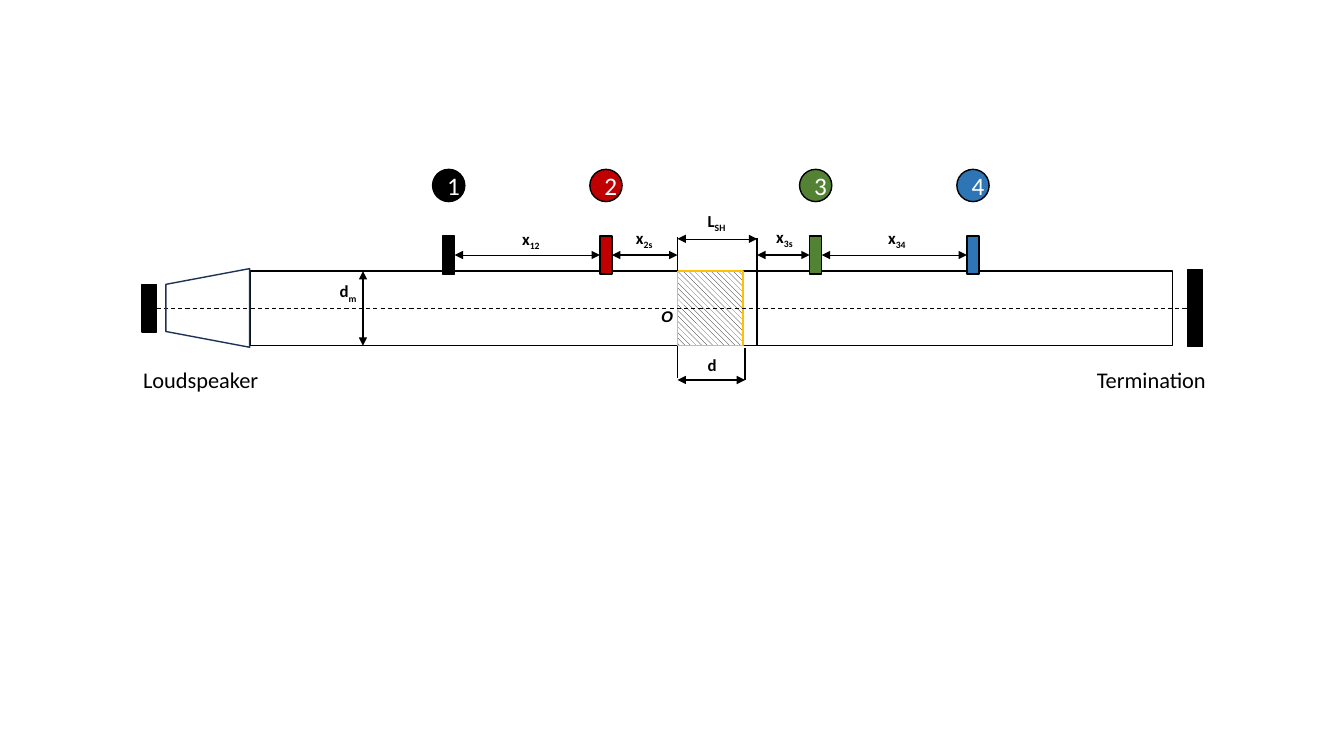
from lxml.etree import SubElement
from pptx import Presentation
from pptx.dml.color import RGBColor
from pptx.enum.dml import MSO_LINE, MSO_PATTERN
from pptx.enum.shapes import MSO_CONNECTOR, MSO_SHAPE
from pptx.enum.text import MSO_AUTO_SIZE, PP_ALIGN
from pptx.oxml.ns import qn
from pptx.util import Inches, Pt

COLOURS = {
    "black": "000000",
    "white": "FFFFFF",
    "red": "C00000",
    "green": "548235",
    "blue": "2E75B6",
    "gold": "FFC000",
    "navy": "1E3256",
}

# Grid positions: columns and rows are a tenth of an inch.
TUBE_LEFT, TUBE_RIGHT = 24.8, 116.3
TUBE_TOP, TUBE_BOTTOM = 26.9, 34.3
AXIS = 30.6
SAMPLE_LEFT, SAMPLE_RIGHT = 67.2, 73.7
DEPTH_RIGHT = 73.9
HOLDER_RIGHT = 75.1
MIC_WIDTH, MIC_TOP, MIC_HEIGHT = 1.2, 23.4, 3.8
MIC_SPACING = 15.6
BADGE_TOP, BADGE_SIZE = 16.8, 3.2
SPACING_ROW = 25.3
HOLDER_ROW, DEPTH_ROW = 23.7, 37.7


def grid(cells):
    return Inches(cells / 10)


def colour(name):
    return RGBColor.from_string(COLOURS[name])


def add_outline(slide, kind, left, top, width, height, fill=None, line="black"):
    outline = slide.shapes.add_shape(kind, *map(grid, (left, top, width, height)))
    outline.shadow.inherit = False
    if fill:
        outline.fill.solid()
        outline.fill.fore_color.rgb = colour(fill)
    else:
        outline.fill.background()
    outline.line.color.rgb = colour(line)
    outline.line.width = Pt(1)
    return outline


def add_rule(slide, start, end, weight=1, dashed=False, arrows=False):
    rule = slide.shapes.add_connector(MSO_CONNECTOR.STRAIGHT, *map(grid, start + end))
    rule.line.color.rgb = colour("black")
    rule.line.width = Pt(weight)
    if dashed:
        rule.line.dash_style = MSO_LINE.DASH
    if arrows:
        for tip in ("a:headEnd", "a:tailEnd"):
            SubElement(rule.line._get_or_add_ln(), qn(tip), type="triangle")
    SubElement(rule._element.spPr, qn("a:effectLst"))


def add_label(slide, left, top, width, words, subscript="", size=12,
              font="Calibri", bold=True, italic=False):
    label = slide.shapes.add_textbox(*map(grid, (left, top, width, size / 4)))
    label.text_frame.word_wrap = True
    label.text_frame.auto_size = MSO_AUTO_SIZE.SHAPE_TO_FIT_TEXT
    paragraph = label.text_frame.paragraphs[0]
    paragraph.font.name = font
    paragraph.font.size = Pt(size)
    paragraph.font.bold = bold
    paragraph.font.italic = italic
    paragraph.font.color.rgb = colour("black")
    paragraph.add_run().text = words
    if subscript:
        lowered = paragraph.add_run()
        lowered.text = subscript
        lowered._r.get_or_add_rPr().set("baseline", "-25000")


def add_microphone(slide, number, centre, fill):
    add_outline(slide, MSO_SHAPE.RECTANGLE, centre - MIC_WIDTH / 2, MIC_TOP,
                MIC_WIDTH, MIC_HEIGHT, fill)
    badge = add_outline(slide, MSO_SHAPE.OVAL, centre - BADGE_SIZE / 2, BADGE_TOP,
                        BADGE_SIZE, BADGE_SIZE, fill)
    paragraph = badge.text_frame.paragraphs[0]
    paragraph.text = str(number)
    paragraph.alignment = PP_ALIGN.CENTER
    paragraph.font.name = "Calibri"
    paragraph.font.size = Pt(18)
    paragraph.font.color.rgb = colour("white")


def add_tube(slide):
    height = TUBE_BOTTOM - TUBE_TOP
    add_outline(slide, MSO_SHAPE.RECTANGLE, TUBE_LEFT, TUBE_TOP,
                TUBE_RIGHT - TUBE_LEFT, height, "white")
    sample = add_outline(slide, MSO_SHAPE.RECTANGLE, SAMPLE_LEFT, TUBE_TOP,
                         SAMPLE_RIGHT - SAMPLE_LEFT, height, line="gold")
    sample.fill.patterned()
    sample.fill.pattern = MSO_PATTERN.WIDE_DOWNWARD_DIAGONAL
    sample.fill.fore_color.rgb = colour("black")
    sample.fill.back_color.rgb = colour("white")
    add_rule(slide, (14.1, AXIS), (119.3, AXIS), 0.75, dashed=True)


def add_tube_ends(slide):
    horn = add_outline(slide, MSO_SHAPE.FLOWCHART_MANUAL_OPERATION,
                       16.7, 26.4, 7.8, 8.3, line="navy")
    horn.rotation = 90
    for left, width, height in ((14.1, 1.4, 4.7), (117.8, 1.5, 7.6)):
        add_outline(slide, MSO_SHAPE.RECTANGLE, left, AXIS - height / 2,
                    width, height, "black")
    for left, words in ((13.2, "Loudspeaker"), (107.8, "Termination")):
        add_label(slide, left, 35.8, 14.8, words, size=16, bold=False)


def add_dimensions(slide, mics):
    half = MIC_WIDTH / 2
    spacings = (
        (mics[0] + half, mics[1] - half, 0.5, 50.8, 22.2, "12"),
        (mics[1] + half, SAMPLE_LEFT, 1, 62.1, 22.1, "2s"),
        (HOLDER_RIGHT, mics[2] - half, 1, 76, 22, "3s"),
        (mics[2] + half, mics[3] - half, 0.5, 87.1, 22.1, "34"),
    )
    for start, end, weight, label_left, label_top, subscript in spacings:
        add_rule(slide, (start, SPACING_ROW), (end, SPACING_ROW), weight, arrows=True)
        add_label(slide, label_left, label_top, 4.3, "x", subscript)

    extensions = (
        (SAMPLE_LEFT, 23.5, TUBE_TOP),
        (HOLDER_RIGHT, 23.6, TUBE_BOTTOM),
        (SAMPLE_LEFT, TUBE_BOTTOM, 37.5),
        (DEPTH_RIGHT, 34.5, DEPTH_ROW),
    )
    for column, top, bottom in extensions:
        add_rule(slide, (column, top), (column, bottom))

    add_rule(slide, (SAMPLE_LEFT, HOLDER_ROW), (HOLDER_RIGHT, HOLDER_ROW), 0.5, arrows=True)
    add_label(slide, 69.2, 20.4, 4.3, "L", "SH")
    add_rule(slide, (SAMPLE_LEFT, DEPTH_ROW), (DEPTH_RIGHT, DEPTH_ROW), arrows=True)
    add_label(slide, 69.2, 34.7, 2.1, "d")
    add_rule(slide, (36, TUBE_TOP), (36, TUBE_BOTTOM), arrows=True)
    add_label(slide, 32.7, 27.4, 4.6, "d", "m")
    add_label(slide, 64.6, 30, 2.1, "O", size=11, font="Arial", italic=True)


def main():
    deck = Presentation()
    deck.slide_width, deck.slide_height = Inches(13.33), Inches(7.5)
    slide = deck.slides.add_slide(deck.slide_layouts[6])

    mics = [first + step * MIC_SPACING for first in (44.5, 80.9) for step in range(2)]
    add_tube(slide)
    add_tube_ends(slide)
    for number, (centre, fill) in enumerate(zip(mics, ("black", "red", "green", "blue")), 1):
        add_microphone(slide, number, centre, fill)
    add_dimensions(slide, mics)
    deck.save("out.pptx")


if __name__ == "__main__":
    main()
